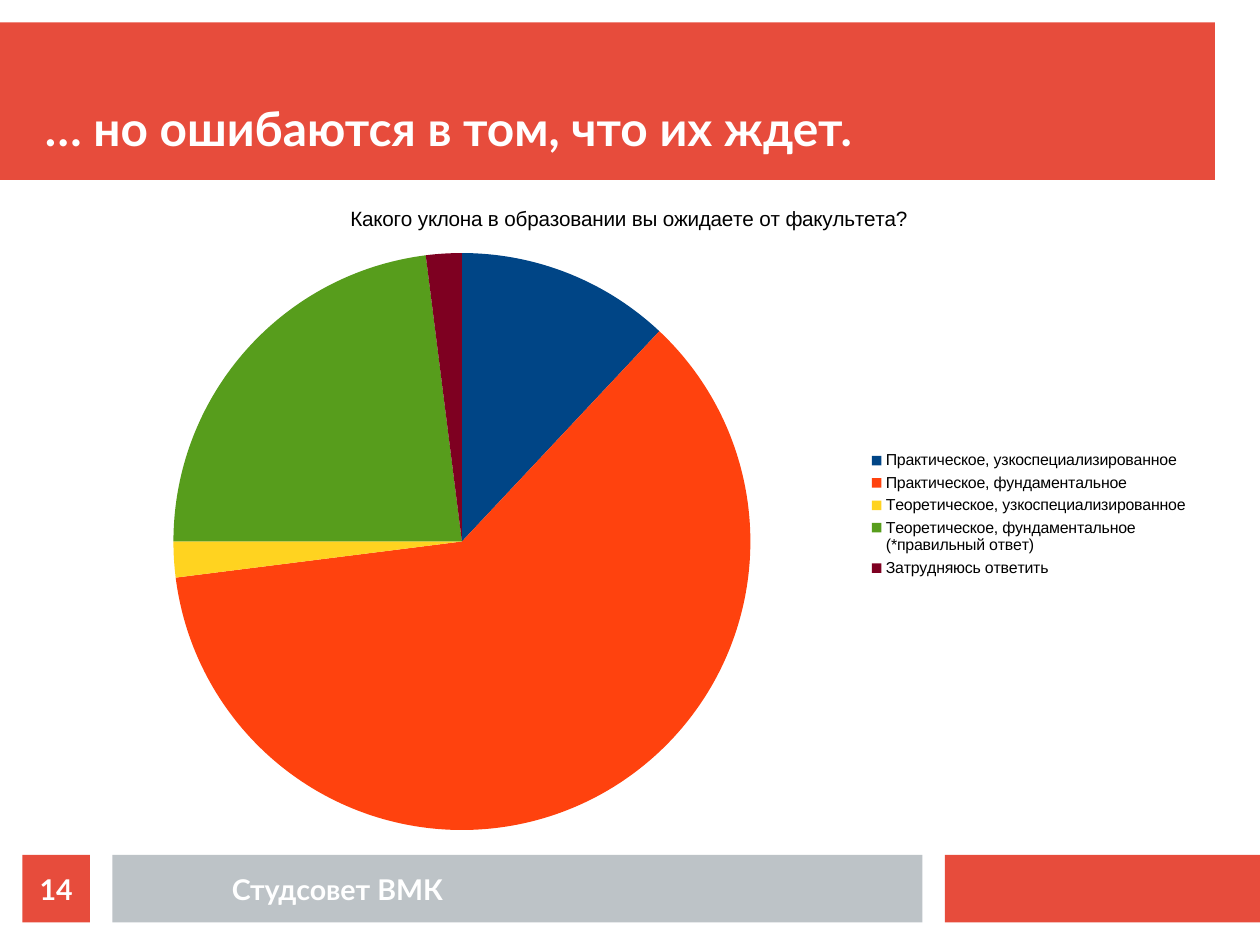
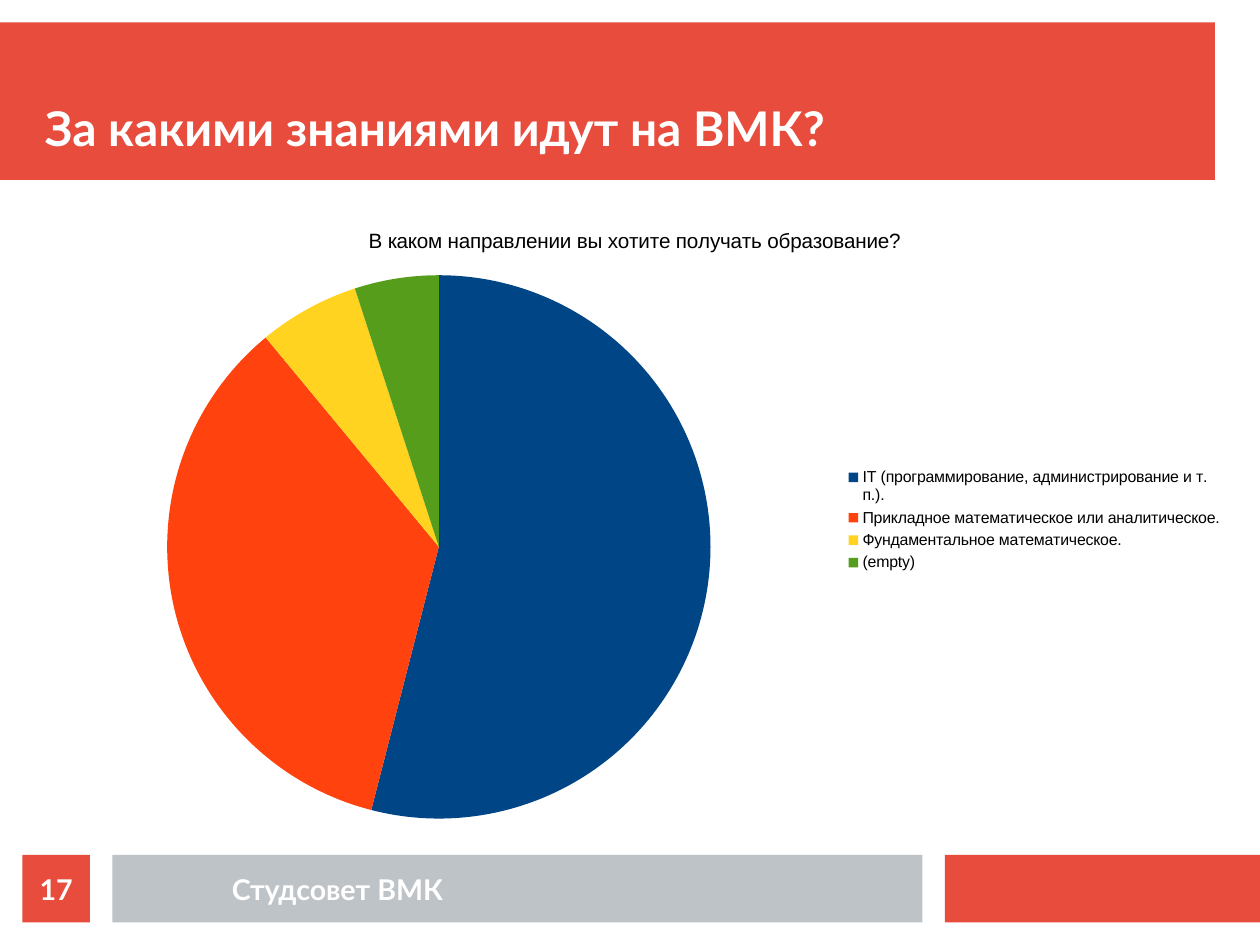
from pptx import Presentation, util as u
from pptx.chart.data import CategoryChartData
from pptx.dml.color import RGBColor
from pptx.enum import chart as ch, shapes, text

COLORS = {"red": "E74C3C", "grey": "BDC3C7", "white": "FFFFFF", "black": "000000"}
PIE_COLORS = ["004586", "FF420E", "FFD320", "579D1C", "7E0021"]
FONT, CHART_FONT = "Lato", "Arial"

prs = Presentation()
prs.slide_width, prs.slide_height = u.Cm(28), u.Cm(21)
U = prs.slide_width / 56
FOOTER_ROW, FOOTER_ROWS = 38, 3


def grid(*cells):
    return [round(c * U) for c in cells]


def write(sp, words, size, align, anchor):
    tf = sp.text_frame
    tf.word_wrap = True
    tf.margin_left = tf.margin_top = tf.margin_right = tf.margin_bottom = 0
    tf.vertical_anchor = anchor
    tf.text = words
    p = tf.paragraphs[0]
    p.alignment = align
    f = p.runs[0].font
    f.name, f.size, f.bold = FONT, u.Pt(size), True
    f.color.rgb = RGBColor.from_string(COLORS["white"])


BANDS = [
    ((0, 1, 54, 7), "red"),
    ((42, FOOTER_ROW, 14, FOOTER_ROWS), "red"),
    ((5, FOOTER_ROW, 36, FOOTER_ROWS), "grey"),
    ((1, FOOTER_ROW, 3, FOOTER_ROWS), "red"),
]

SLIDES = [
    {
        "title": "… но ошибаются в том, что их ждет.",
        "number": "14",
        "box": (0.5, 1.6, 10, 5.8),
        "question": "Какого уклона в образовании вы ожидаете от факультета?",
        "answers": {
            "Практическое, узкоспециализированное": 12,
            "Практическое, фундаментальное": 61,
            "Теоретическое, узкоспециализированное": 2,
            "Теоретическое, фундаментальное (*правильный ответ)": 23,
            "Затрудняюсь ответить": 2,
        },
    },
    {
        "title": "За какими знаниями идут на ВМК?",
        "number": "17",
        "box": (0.3, 1.8, 10.5, 5.5),
        "question": "В каком направлении вы хотите получать образование?",
        "answers": {
            "IT (программирование, администрирование и т. п.).": 54,
            "Прикладное математическое или аналитическое.": 35,
            "Фундаментальное математическое.": 6,
            "(empty)": 5,
        },
    },
]

for page in SLIDES:
    s = prs.slides.add_slide(prs.slide_layouts[6])
    for cells, color in BANDS:
        sp = s.shapes.add_shape(shapes.MSO_SHAPE.RECTANGLE, *grid(*cells))
        sp.shadow.inherit = False
        sp.fill.solid()
        sp.fill.fore_color.rgb = RGBColor.from_string(COLORS[color])
        sp.line.fill.background()
    write(sp, page["number"], 18, text.PP_ALIGN.CENTER, text.MSO_ANCHOR.MIDDLE)

    title = s.shapes.add_textbox(*grid(2, 2, 52, 4.95))
    write(title, page["title"], 30.1, text.PP_ALIGN.LEFT, text.MSO_ANCHOR.BOTTOM)
    footer = s.shapes.add_textbox(*grid(6, FOOTER_ROW, 18, FOOTER_ROWS))
    write(footer, "Студсовет ВМК", 18, text.PP_ALIGN.CENTER, text.MSO_ANCHOR.MIDDLE)

    data = CategoryChartData()
    data.categories = list(page["answers"])
    data.add_series("Series 1", list(page["answers"].values()))
    box = [u.Inches(n) for n in page["box"]]
    chart = s.shapes.add_chart(ch.XL_CHART_TYPE.PIE, *box, data).chart
    chart.has_title = True
    tf = chart.chart_title.text_frame
    tf.text = page["question"]
    title_font = tf.paragraphs[0].runs[0].font
    title_font.bold = False
    chart.has_legend = True
    chart.legend.position = ch.XL_LEGEND_POSITION.RIGHT
    chart.legend.include_in_layout = False
    for f, size in ((chart.font, 10), (chart.legend.font, 10), (title_font, 13)):
        f.name, f.size = CHART_FONT, u.Pt(size)
        f.color.rgb = RGBColor.from_string(COLORS["black"])
    plot = chart.plots[0]
    plot.vary_by_categories = True
    for i, color in enumerate(PIE_COLORS[:len(page["answers"])]):
        fmt = plot.series[0].points[i].format
        fmt.fill.solid()
        fmt.fill.fore_color.rgb = RGBColor.from_string(color)
        fmt.line.fill.background()

prs.save("out.pptx")
